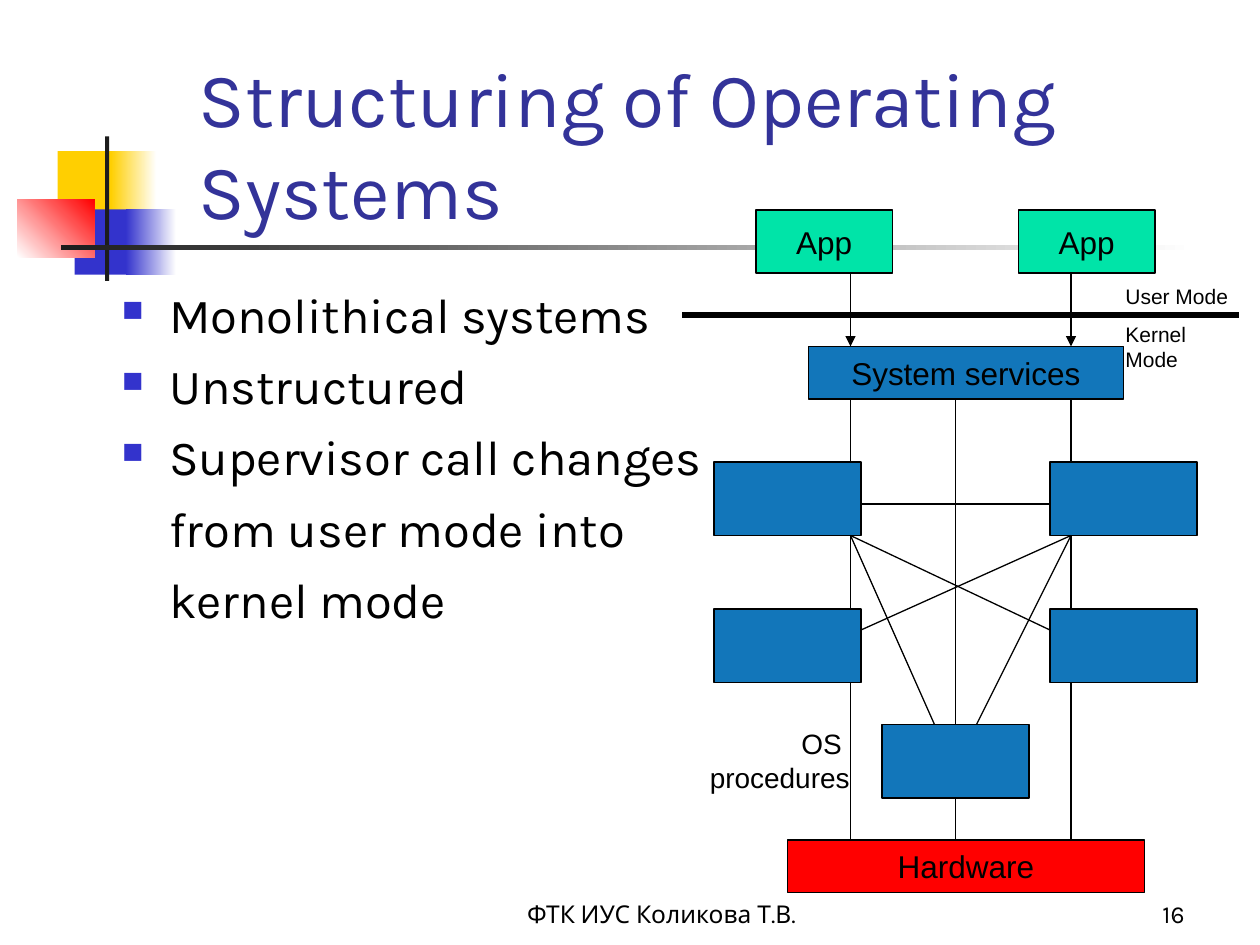
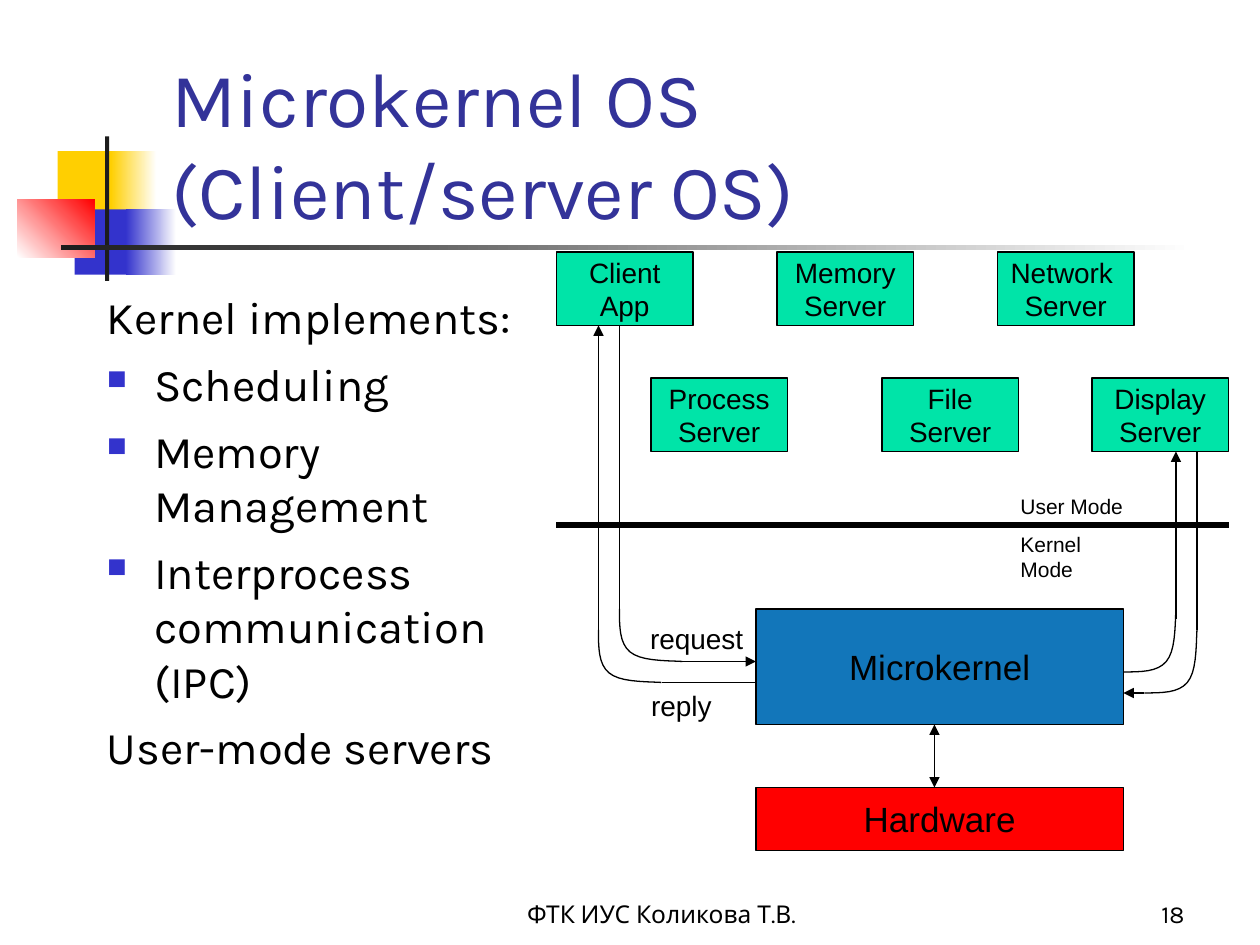
from lxml import etree
from pptx import Presentation
from pptx.dml.color import RGBColor
from pptx.enum.shapes import MSO_CONNECTOR, MSO_SHAPE
from pptx.enum.text import MSO_ANCHOR, PP_ALIGN
from pptx.oxml.ns import qn
from pptx.util import Pt

RECT = MSO_SHAPE.RECTANGLE
STRAIGHT = MSO_CONNECTOR.STRAIGHT
LEFT, MID, RIGHT = PP_ALIGN.LEFT, PP_ALIGN.CENTER, PP_ALIGN.RIGHT
TOP, CENTER, BOTTOM = MSO_ANCHOR.TOP, MSO_ANCHOR.MIDDLE, MSO_ANCHOR.BOTTOM
paint = RGBColor.from_string
BLACK, WHITE, DARK = "000000", "FFFFFF", "1C1C1C"
GREEN, BLUE, RED = "00E4A8", "1276BA", "FF0000"
GOLD, INDIGO, NAVY = "FFCF01", "3333CC", "333399"


def write(slide, text, *area, size=16, font="Arial", color=BLACK, fill=None,
          align=LEFT, anchor=TOP, wrap=False, space=0):
    area = [Pt(v) for v in area]
    if fill:
        shape = slide.shapes.add_shape(RECT, *area)
        shape.shadow.inherit = False
        shape.fill.solid()
        shape.fill.fore_color.rgb = paint(fill)
        shape.line.color.rgb = paint(BLACK)
        shape.line.width = Pt(0.75)
        align, anchor = MID, CENTER
    else:
        shape = slide.shapes.add_textbox(*area)
    frame = shape.text_frame
    frame.text = text
    frame.word_wrap = wrap
    frame.vertical_anchor = anchor
    for para in frame.paragraphs:
        para.alignment = align
        para.space_before = Pt(space)
        for run in para.runs:
            run.font.size = Pt(size)
            run.font.name = font
            run.font.color.rgb = paint(color)
    return shape


def join(slide, *ends, width=0.75, arrows=(), start=None, end=None):
    link = slide.shapes.add_connector(STRAIGHT, *[Pt(v) for v in ends])
    if start:
        link.begin_connect(*start)
    if end:
        link.end_connect(*end)
    link.line.color.rgb = paint(BLACK)
    link.line.width = Pt(width)
    props = link.element.spPr
    for tag in arrows:
        etree.SubElement(props.find(qn("a:ln")), qn(tag), type="triangle")
    etree.SubElement(props, qn("a:effectLst"))


HEAD, TAIL = "a:headEnd", "a:tailEnd"

deck = Presentation()
deck.slide_width, deck.slide_height = Pt(720), Pt(540)

bands = [
    (33, 86.4, 34.6, 37.4, [GOLD], 0),
    (63.4, 86.4, 26, 37.4, [GOLD, WHITE], 0),
    (42.6, 119.6, 33, 37.4, [INDIGO], 0),
    (72, 119.6, 28.8, 37.4, [INDIGO, WHITE], 0),
    (10, 113.8, 44, 33.2, [WHITE, RED], 45),
    (60, 78, 2.4, 82.6, [DARK], 0),
    (34.6, 140.2, 648, 2.4, [DARK, WHITE], 0),
]
pages = [
    dict(title="Structuring of Operating Systems", left=106.6, number="16",
         body=(62.6, 159.2, 656.6, 324), size=28, mode=(390, 708, 180, 636),
         rows=[("bullet", "Monolithical systems"),
               ("bullet", "Unstructured"),
               ("bullet", "Supervisor call changes"),
               ("indent", "from user mode into"),
               ("indent", "kernel mode")]),
    dict(title="Microkernel OS\v(Client/server OS)", left=90.8, number="18",
         body=(54, 162, 260.6, 330), size=25.9, mode=(318, 702, 300, 576),
         rows=[("plain", "Kernel implements:"),
               ("bullet", "Scheduling"),
               ("bullet", "Memory Management"),
               ("bullet", "Interprocess communication (IPC)"),
               ("plain", "User-mode servers")]),
]
slides = []
for page in pages:
    slide = deck.slides.add_slide(deck.slide_layouts[6])
    slides.append(slide)
    for *area, tones, angle in bands:
        band = slide.shapes.add_shape(RECT, *[Pt(v) for v in area])
        band.shadow.inherit = False
        band.line.fill.background()
        if len(tones) == 1:
            band.fill.solid()
            band.fill.fore_color.rgb = paint(tones[0])
        else:
            band.fill.gradient()
            band.fill.gradient_angle = angle
            for stop, tone in zip(band.fill.gradient_stops, tones):
                stop.color.rgb = paint(tone)
    write(slide, "ФТК ИУС Коликова Т.В.", 264, 498, 228, 36, size=14,
          font="Karla", align=MID, anchor=BOTTOM, wrap=True)
    write(slide, page["number"], 534, 498, 150, 36, size=14,
          font="Karla", align=RIGHT, anchor=BOTTOM, wrap=True)
    write(slide, page["title"], page["left"], 48, 613.4, 90, size=44,
          font="Karla", color=NAVY, anchor=BOTTOM, wrap=True)

    rows = page["rows"]
    body = write(slide, "\n".join(text for kind, text in rows), *page["body"],
                 size=page["size"], font="Karla", wrap=True, space=7)
    for para, (kind, text) in zip(body.text_frame.paragraphs, rows):
        props = para._p.get_or_add_pPr()
        if kind != "plain":
            props.set("marL", str(Pt(27)))
        if kind == "bullet":
            props.set("indent", str(-Pt(27)))
            tint = etree.SubElement(props, qn("a:buClr"))
            etree.SubElement(tint, qn("a:srgbClr"), val=INDIGO)
            etree.SubElement(props, qn("a:buSzPct"), val="60000")
            etree.SubElement(props, qn("a:buChar"), char="■")

    x1, x2, y, x = page["mode"]
    join(slide, x1, y, x2, y, width=3)
    write(slide, "User Mode", x, y - 21.6, 73, 21.6, size=12)
    write(slide, "Kernel Mode", x, y, 82, 21.6, size=12)

mono, micro = slides

for x in (432, 582):
    write(mono, "App", x, 120, 78, 36, size=18, fill=GREEN)
write(mono, "System services", 462, 198, 180, 30, size=18, fill=BLUE)
for x in (408, 600):
    for y in (264, 348):
        write(mono, "", x, y, 84, 42, fill=BLUE)
core = write(mono, "", 504, 414, 84, 42, fill=BLUE)
write(mono, "Hardware", 450, 480, 204, 30, size=18, fill=RED)
for x in (486, 612):
    join(mono, x, 156, x, 198, arrows=[TAIL])
    for y1, y2 in ((228, 264), (306, 348), (390, 480)):
        join(mono, x, y1, x, y2)
for ends in ((492, 288, 600, 288), (486, 306, 600, 360), (612, 306, 492, 360),
             (486, 306, 534, 414), (612, 306, 558, 414)):
    join(mono, *ends)
join(mono, 546, 228, 546, 414, end=(core, 0))
join(mono, 546, 456, 546, 480, start=(core, 2))
write(mono, "OS \nprocedures", 398.2, 411.8, 94.4, 46, align=RIGHT)

tiers = [
    (144, [(318, "Client\vApp"), (444, "Memory\vServer"), (570, "Network \vServer")]),
    (216, [(372, "Process\vServer"), (504, "File\vServer"), (624, "Display\vServer")]),
]
for y, tier in tiers:
    for x, name in tier:
        write(micro, name, x, y, 78, 42, fill=GREEN)
write(micro, "Microkernel", 432, 348, 210, 66, size=20, fill=BLUE)
write(micro, "Hardware", 432, 450, 210, 36, size=20, fill=RED)
join(micro, 534, 414, 534, 450, arrows=[HEAD, TAIL])

arcs = [((0, 0), (0, 10), (0, 19.5), (6, 24.5)),
        ((6, 24.5), (12, 29.5), (24, 29.5), (36, 30))]
bend = []
for arc in arcs:
    for step in range(9):
        t = step / 8
        mix = ((1 - t) ** 3, 3 * t * (1 - t) ** 2, 3 * t * t * (1 - t), t ** 3)
        bend.append([sum(m * p[i] for m, p in zip(mix, arc)) for i in (0, 1)])
for x, y, turned in ((354, 348, False), (342, 360, False),
                     (654, 396, True), (642, 384, True)):
    dots = [(Pt(x + v), Pt(y - u)) if turned else (Pt(x + u), Pt(y + v))
            for u, v in bend]
    pen = micro.shapes.build_freeform(*dots[0])
    pen.add_line_segments(dots[1:], close=False)
    curve = pen.convert_to_shape()
    curve.shadow.inherit = False
    curve.fill.background()
    curve.line.color.rgb = paint(BLACK)
    curve.line.width = Pt(0.75)

for *ends, arrows in ((354, 348, 354, 186, []), (342, 360, 342, 186, [TAIL]),
                      (390, 378, 432, 378, [TAIL]), (378, 390, 432, 390, []),
                      (654, 396, 642, 396, [TAIL]), (672, 354, 672, 258, [TAIL]),
                      (684, 360, 684, 258, [])):
    join(micro, *ends, arrows=arrows)
write(micro, "request", 364.4, 351.4, 67.6, 26.6)
write(micro, "reply", 365, 390, 49, 26.6)

deck.save("out.pptx")
